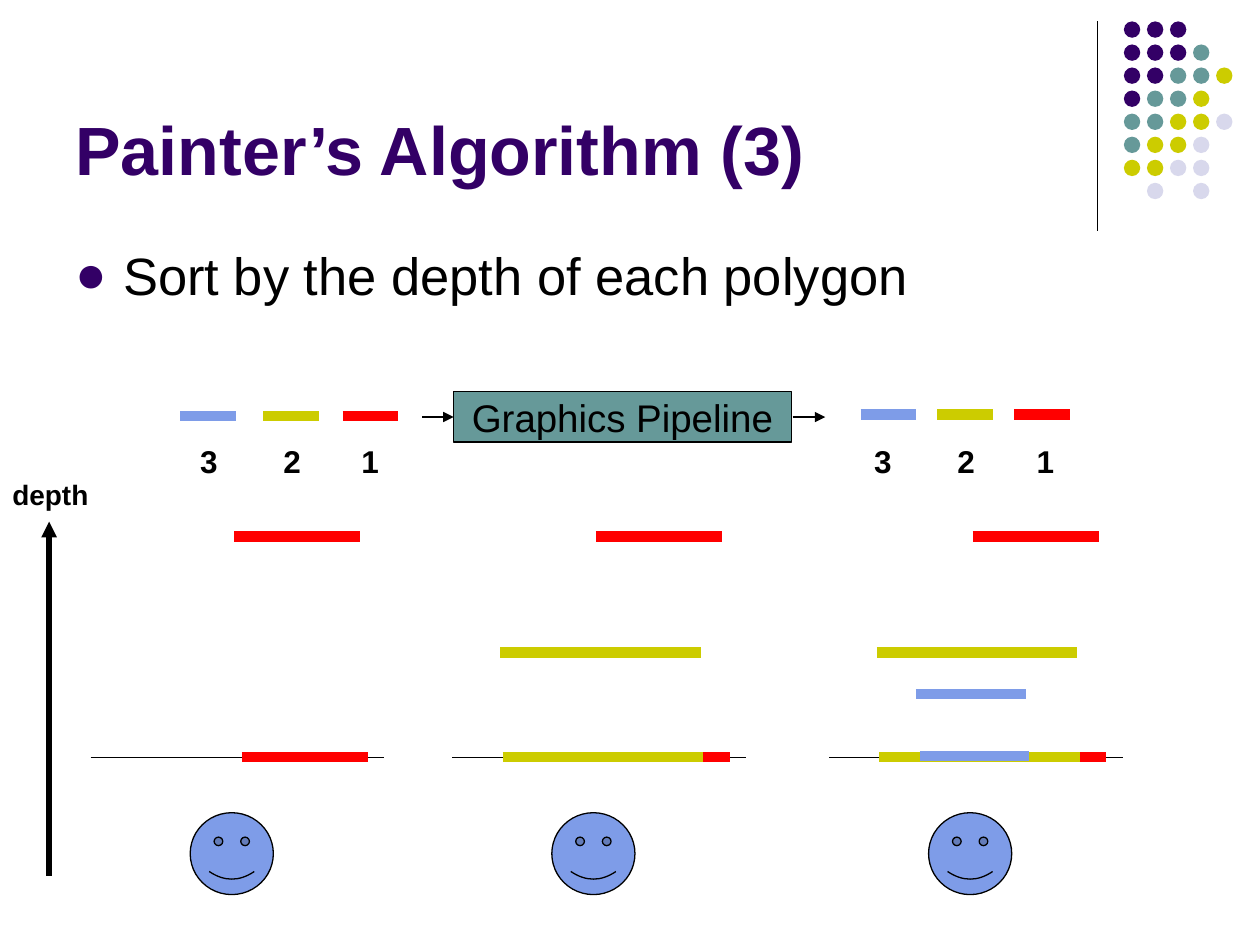
from dataclasses import dataclass
from lxml.etree import SubElement as Sub
from pptx import Presentation
from pptx.dml.color import RGBColor as Rgb
from pptx.enum.shapes import MSO_CONNECTOR as Conn, MSO_SHAPE as Kind
from pptx.enum.text import MSO_ANCHOR as Anchor, PP_ALIGN as Align
from pptx.oxml.ns import qn
from pptx.util import Inches, Pt

INK = {
    "dark": "330066", "teal": "669999", "olive": "CCCC00", "pale": "D8D8EC",
    "red": "FF0000", "blue": "7E9CE8", "black": "000000",
}
DOTS = ["ddd", "dddt", "ddtto", "dtto", "ttoop", "toop", "oopp", " p p"]
CODES = {"d": "dark", "t": "teal", "o": "olive", "p": "pale"}


@dataclass
class Bar:
    left: float
    y: float
    width: float
    ink: str


@dataclass
class Key:
    text: str
    left: float
    bar: float
    y: float
    ink: str


@dataclass
class Panel:
    left: float
    bars: list[Bar]


RED = [Bar(1.14, 4.26, 1, "red"), Bar(1.2, 6.01, 1, "red")]
OLIVE = [Bar(0.38, 5.18, 1.59, "olive"), Bar(0.4, 6.01, 1.59, "olive")]
BLUE = [Bar(0.69, 5.51, 0.87, "blue"), Bar(0.72, 6, 0.87, "blue")]
PANELS = [
    Panel(0.72, RED),
    Panel(3.59, RED + OLIVE),
    Panel(6.58, RED + OLIVE + BLUE),
]
KEYS = [
    Key("3", 1.49, 1.43, 3.3, "blue"),
    Key("2", 2.15, 2.09, 3.3, "olive"),
    Key("1", 2.77, 2.72, 3.3, "red"),
    Key("3", 6.84, 6.83, 3.29, "blue"),
    Key("2", 7.5, 7.44, 3.29, "olive"),
    Key("1", 8.13, 8.05, 3.29, "red"),
]

deck = Presentation()
deck.slide_width, deck.slide_height = Inches(10), Inches(7.5)
slide = deck.slides.add_slide(deck.slide_layouts[6])
shapes = slide.shapes


def color(name: str) -> Rgb:
    return Rgb.from_string(INK[name])


def line(x1: float, y1: float, x2: float, y2: float, ink: str = "black",
         width: float = 0.75, arrow: bool = False) -> None:
    item = shapes.add_connector(
        Conn.STRAIGHT, Inches(x1), Inches(y1), Inches(x2), Inches(y2))
    item.line.color.rgb = color(ink)
    item.line.width = Pt(width)
    if arrow:
        Sub(item.line._get_or_add_ln(), qn("a:tailEnd"), type="triangle")
    Sub(item._element.spPr, qn("a:effectLst"))


def shape(kind: Kind, left: float, top: float, width: float, height: float,
          ink: str, edge: bool = True):
    item = shapes.add_shape(
        kind, Inches(left), Inches(top), Inches(width), Inches(height))
    item.shadow.inherit = False
    item.fill.solid()
    item.fill.fore_color.rgb = color(ink)
    if edge:
        item.line.color.rgb = color("black")
        item.line.width = Pt(0.75)
    else:
        item.line.fill.background()
    return item


def write(item, text: str, size: float, ink: str = "black", bold: bool = False):
    para = item.text_frame.paragraphs[0]
    para.text = text
    font = para.runs[0].font
    font.name, font.size, font.bold = "Arial", Pt(size), bold
    font.color.rgb = color(ink)
    return para


def label(text: str, left: float, top: float, width: float, height: float,
          size: float, ink: str = "black", bold: bool = True, wrap: bool = False):
    box = shapes.add_textbox(
        Inches(left), Inches(top), Inches(width), Inches(height))
    box.text_frame.word_wrap = wrap
    write(box, text, size, ink, bold)
    return box


def bullet(box) -> None:
    props = box.text_frame.paragraphs[0]._p.get_or_add_pPr()
    props.set("marL", str(Inches(0.38)))
    props.set("indent", str(-Inches(0.38)))
    tint = Sub(props, qn("a:buClr"))
    Sub(tint, qn("a:srgbClr"), val=INK["dark"])
    Sub(props, qn("a:buFont"), typeface="Arial")
    Sub(props, qn("a:buChar"), char="●")


def draw_dots() -> None:
    step = 0.183
    for row, codes in enumerate(DOTS):
        for col, code in enumerate(codes):
            if code in CODES:
                shape(Kind.OVAL, 8.92 + col * step, 0.17 + row * step,
                      0.13, 0.13, CODES[code], edge=False)


def draw_key(key: Key) -> None:
    line(key.bar, key.y, key.bar + 0.44, key.y, key.ink, 6)
    label(key.text, key.left, 3.46, 0.34, 0.4, 18)


def draw_panel(panel: Panel) -> None:
    left = panel.left
    shape(Kind.SMILEY_FACE, left + 0.79, 6.45, 0.66, 0.65, "blue")
    line(left, 6.01, left + 2.33, 6.01)
    for bar in panel.bars:
        start = left + bar.left
        line(start, bar.y, start + bar.width, bar.y, bar.ink, 6)


line(8.71, 0.17, 8.71, 1.83)
draw_dots()
title = label("Painter’s Algorithm (3)", 0.5, 0.13, 8.25, 1.42, 39, "dark", wrap=True)
title.text_frame.vertical_anchor = Anchor.BOTTOM
body = label("Sort by the depth of each polygon", 0.5, 1.88, 9, 4.82, 30,
             bold=False, wrap=True)
bullet(body)

pipe = shape(Kind.RECTANGLE, 3.6, 3.11, 2.68, 0.4, "teal")
pipe.text_frame.vertical_anchor = Anchor.MIDDLE
pipe.text_frame.word_wrap = False
write(pipe, "Graphics Pipeline", 22).alignment = Align.CENTER
line(3.35, 3.31, 3.6, 3.31, arrow=True)
line(6.29, 3.31, 6.55, 3.31, arrow=True)

for key in KEYS:
    draw_key(key)
for panel in PANELS:
    draw_panel(panel)

line(0.39, 6.95, 0.39, 4.14, width=3, arrow=True)
label("depth", 0, 3.74, 0.81, 0.37, 16)

deck.save("out.pptx")
